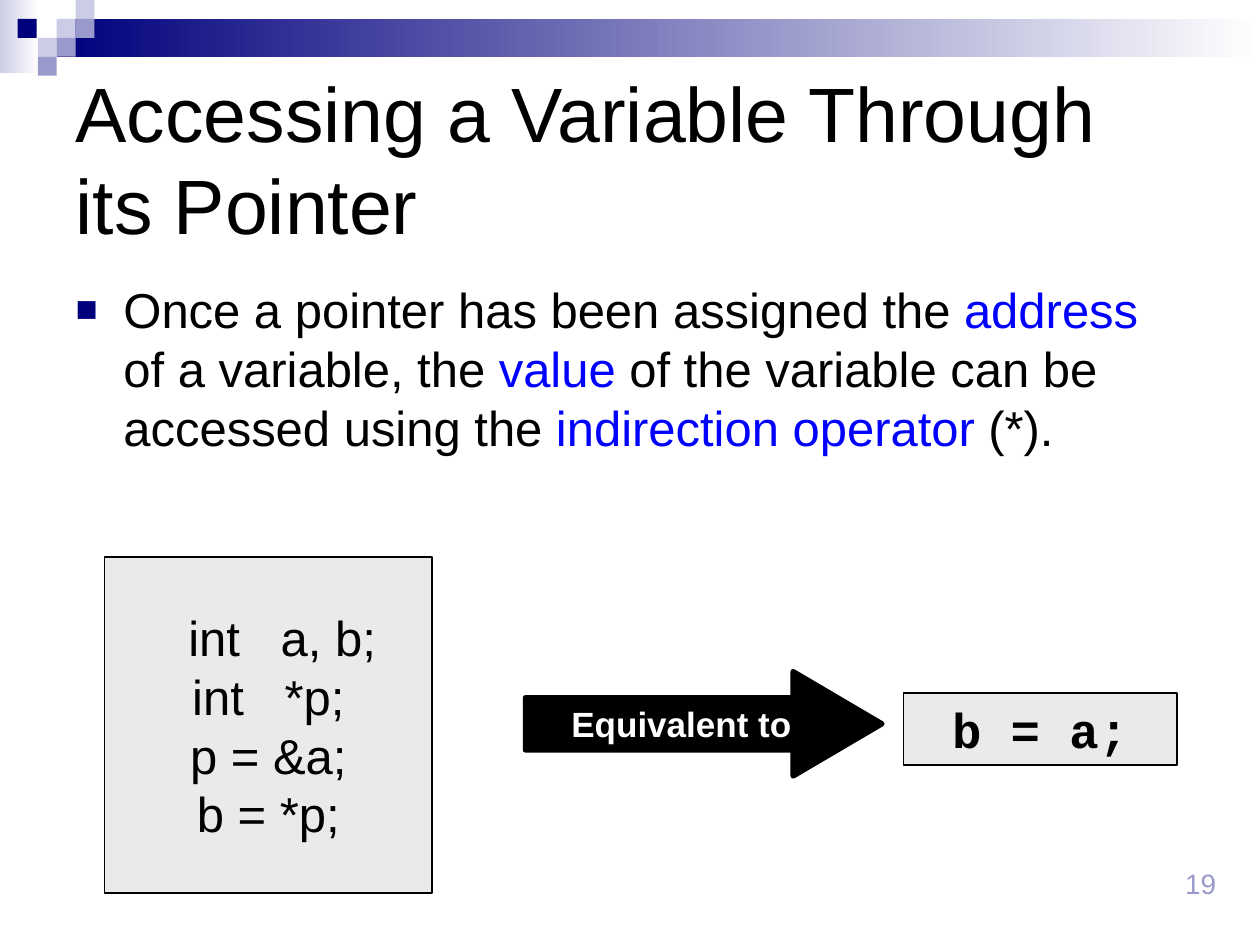
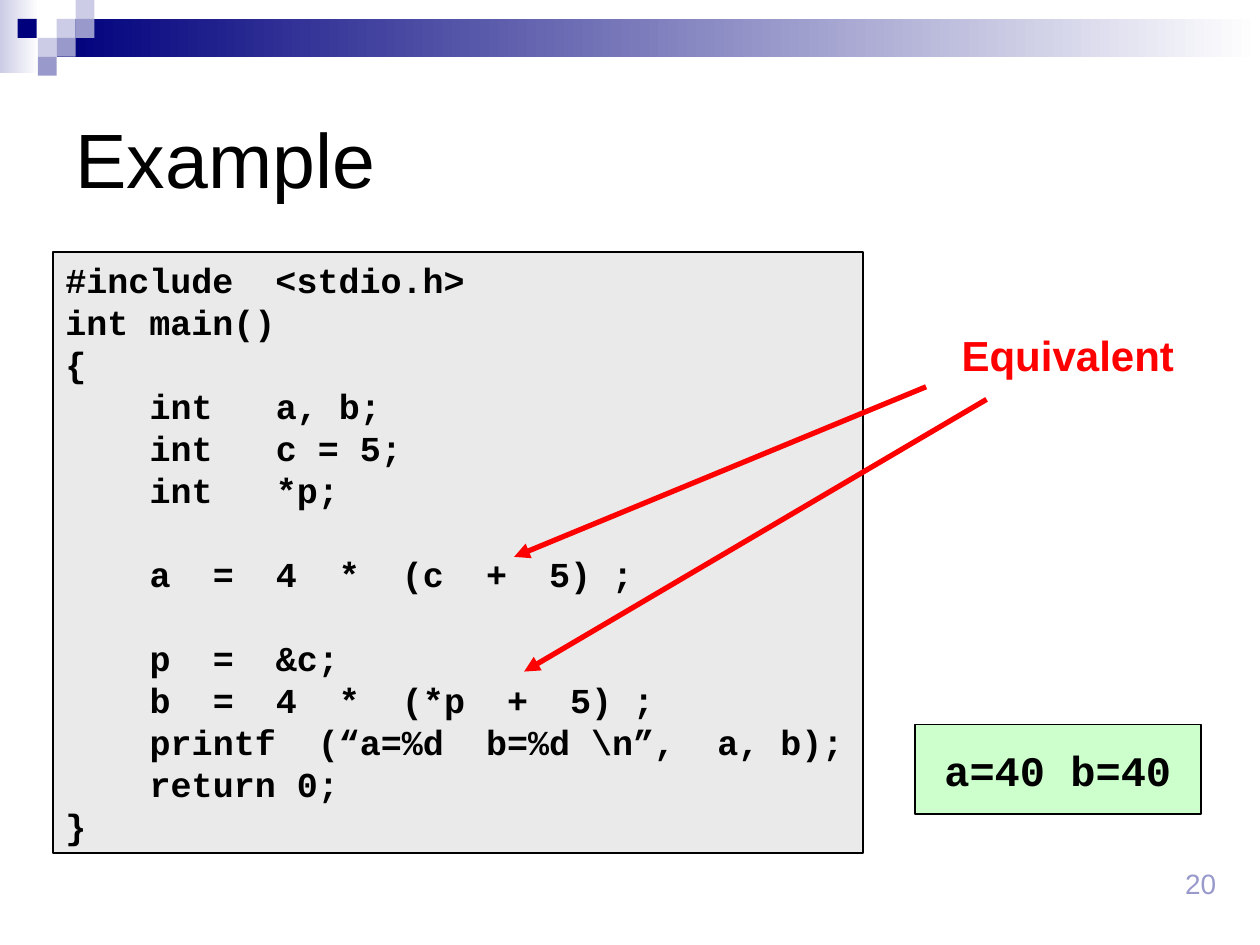
from dataclasses import dataclass

from pptx import Presentation
from pptx.dml.color import RGBColor as Rgb
from pptx.enum.shapes import MSO_CONNECTOR as Connector, MSO_SHAPE as Preset
from pptx.enum.text import MSO_ANCHOR as Anchor, MSO_AUTO_SIZE as AutoSize, PP_ALIGN as Align
from pptx.oxml.ns import qn
from pptx.util import Emu, Pt
from lxml.etree import SubElement

EMU_PER_PX = 9144  # 100 px to the inch


@dataclass(frozen=True)
class Theme:
    navy: str = "00007D"
    violet: str = "9999CC"
    lilac: str = "CCCCE6"
    white: str = "FFFFFF"
    black: str = "000000"
    blue: str = "0000FF"
    red: str = "FF0000"
    gray: str = "EAEAEA"
    green: str = "CCFFCC"
    sans: str = "Arial"
    mono: str = "Courier New"
    title: int = 44
    body: int = 28
    label: int = 24
    code: int = 20
    number: int = 16
    leading: float = 1.2


THEME = Theme()
CODE_TAB = 67  # four characters of code
BLANK_LINE = Pt(THEME.code * THEME.leading)

# Corner mosaic: left, top, colour
SQUARE = 15
MOSAIC = [
    (45, 15, THEME.lilac), (60, 0, THEME.lilac), (60, 15, THEME.violet),
    (30, 30, THEME.lilac), (14, 15, THEME.navy), (45, 30, THEME.violet),
    (30, 45, THEME.violet),
]

# Program lines: indent level, blank lines before, text
PROGRAM = [
    (0, 0, "#include  <stdio.h>"),
    (0, 0, "int main()"),
    (0, 0, "{"),
    (1, 0, "int   a, b;"),
    (1, 0, "int   c = 5;"),
    (1, 0, "int   *p;"),
    (1, 1, "a  =  4  *  (c  +  5) ;"),
    (1, 1, "p  =  &c;"),
    (1, 0, "b  =  4  *  (*p  +  5) ;"),
    (1, 0, "printf  (“a=%d  b=%d \\n”,  a, b);"),
    (1, 0, "return 0;"),
    (0, 0, "}"),
]


def px(length):
    return Emu(length * EMU_PER_PX)


def set_all(target, values):
    for name, value in values.items():
        setattr(target, name, value)


def place(shape, box):
    set_all(shape, dict(zip(("left", "top", "width", "height"), map(px, box))))


# Text
def add_run(paragraph, text, size, color=THEME.black, font=THEME.sans, bold=False):
    run = paragraph.add_run()
    run.text = text
    set_all(run.font, {"size": Pt(size), "name": font, "bold": bold})
    run.font.color.rgb = Rgb.from_string(color)


def format_paragraph(paragraph, size, align=Align.LEFT, before=0, margin=0, hanging=0):
    set_all(paragraph, {
        "alignment": align,
        "line_spacing": Pt(size * THEME.leading),
        "space_before": before,
        "space_after": 0,
    })
    properties = paragraph._p.get_or_add_pPr()
    properties.set("marL", str(px(margin)))
    properties.set("indent", str(px(-hanging)))
    return properties


def set_frame(shape, anchor=Anchor.TOP, wrap=True):
    frame = shape.text_frame
    set_all(frame, {"word_wrap": wrap, "auto_size": AutoSize.NONE, "vertical_anchor": anchor})
    return frame


def write_lines(frame, lines, size, align=Align.CENTER, **font):
    """Each line is (margin, space before, text)."""
    for index, (margin, before, text) in enumerate(lines):
        paragraph = frame.add_paragraph() if index else frame.paragraphs[0]
        format_paragraph(paragraph, size, align, before, margin)
        add_run(paragraph, text, size, **font)


def write_line(frame, text, size, align=Align.CENTER, **font):
    write_lines(frame, [(0, 0, text)], size, align, **font)


def add_label(slide, box, text, size, align=Align.CENTER, **font):
    label = slide.shapes.add_textbox(*map(px, box))
    write_line(set_frame(label), text, size, align, **font)


# Shapes
def add_block(slide, box, fill, line=None, weight=1, preset=Preset.RECTANGLE):
    block = slide.shapes.add_shape(preset, *map(px, box))
    block.shadow.inherit = False
    block.fill.solid()
    block.fill.fore_color.rgb = Rgb.from_string(fill)
    if line:
        block.line.color.rgb = Rgb.from_string(line)
        block.line.width = Pt(weight)
    else:
        block.line.fill.background()
    return block


def add_fade(slide, box, color):
    band = add_block(slide, box, color)
    band.fill.gradient()
    band.fill.gradient_angle = 0
    for stop, stop_color in zip(band.fill.gradient_stops, (color, THEME.white)):
        stop.color.rgb = Rgb.from_string(stop_color)


def add_arrow(slide, start, end):
    arrow = slide.shapes.add_connector(Connector.STRAIGHT, *map(px, start + end))
    arrow.line.color.rgb = Rgb.from_string(THEME.red)
    arrow.line.width = Pt(3)
    SubElement(arrow.line._get_or_add_ln(), qn("a:tailEnd"), type="triangle")
    SubElement(arrow.element.spPr, qn("a:effectLst"))


# Shared slide frame
def start_slide(presentation, layout, title, number):
    slide = presentation.slides.add_slide(presentation.slide_layouts.get_by_name(layout))
    add_fade(slide, (0, 0, 31, 58), THEME.lilac)
    add_fade(slide, (45, 15, 955, 30), THEME.navy)
    for left, top, color in MOSAIC:
        add_block(slide, (left, top, SQUARE, SQUARE), color)
    place(slide.shapes.title, (50, 50, 900, 150))
    write_line(set_frame(slide.shapes.title, Anchor.MIDDLE), title, THEME.title, Align.LEFT)
    add_label(slide, (917, 683, 58, 50), str(number), THEME.number, Align.RIGHT,
              color=THEME.violet)
    return slide


def fill_bullet(body, runs):
    place(body, (50, 217, 900, 425))
    paragraph = set_frame(body).paragraphs[0]
    properties = format_paragraph(paragraph, THEME.body, margin=38, hanging=38)
    bullet_color = SubElement(properties, qn("a:buClr"))
    SubElement(bullet_color, qn("a:srgbClr"), val=THEME.navy)
    SubElement(properties, qn("a:buSzPct"), val="75000")
    SubElement(properties, qn("a:buFont"), typeface=THEME.sans)
    SubElement(properties, qn("a:buChar"), char="■")
    for text, color in runs:
        add_run(paragraph, text, THEME.body, color)


def build_pointer_slide(presentation):
    slide = start_slide(presentation, "Title and Content",
                        "Accessing a Variable Through its Pointer", 19)
    fill_bullet(slide.placeholders[1], [
        ("Once a pointer has been assigned the ", THEME.black),
        ("address", THEME.blue),
        (" of a variable, the ", THEME.black),
        ("value", THEME.blue),
        (" of the variable can be accessed using the ", THEME.black),
        ("indirection operator", THEME.blue),
        (" (*).", THEME.black),
    ])

    # Declarations and the equivalent assignment
    declarations = add_block(slide, (83, 442, 260, 267), THEME.gray, THEME.black)
    write_lines(set_frame(declarations, Anchor.MIDDLE), [
        (22, 0, "int   a, b;"), (0, 0, "int   *p;"), (0, 0, "p = &a;"), (0, 0, "b = *p;"),
    ], THEME.body)

    arrow = add_block(slide, (417, 533, 283, 83), THEME.black, THEME.black, 3,
                      Preset.RIGHT_ARROW)
    arrow.adjustments[0], arrow.adjustments[1] = 0.5, 0.85
    write_line(set_frame(arrow, Anchor.MIDDLE, wrap=False), "Equivalent to", THEME.code,
               color=THEME.white, bold=True)

    assignment = add_block(slide, (717, 550, 217, 57), THEME.gray, THEME.black)
    write_line(set_frame(assignment), "b = a;", THEME.body, font=THEME.mono, bold=True)


def build_example_slide(presentation):
    slide = start_slide(presentation, "Title Only", "Example", 20)

    # Program listing
    listing = add_block(slide, (42, 200, 643, 477), THEME.gray, THEME.black)
    lines = [(level * CODE_TAB, blanks * BLANK_LINE, text) for level, blanks, text in PROGRAM]
    write_lines(set_frame(listing), lines, THEME.code, Align.LEFT, font=THEME.mono, bold=True)

    # Equivalent statements
    add_label(slide, (731, 257, 233, 50), "Equivalent", THEME.label, color=THEME.red, bold=True)
    add_arrow(slide, (735, 307), (408, 442))
    add_arrow(slide, (783, 317), (416, 533))

    # Program output
    output = add_block(slide, (726, 575, 227, 71), THEME.green, THEME.black)
    write_line(set_frame(output, Anchor.MIDDLE, wrap=False), "a=40 b=40", THEME.label,
               font=THEME.mono, bold=True)


def main():
    presentation = Presentation()
    set_all(presentation, {"slide_width": px(1000), "slide_height": px(750)})
    build_pointer_slide(presentation)
    build_example_slide(presentation)
    presentation.save("out.pptx")


if __name__ == "__main__":
    main()
